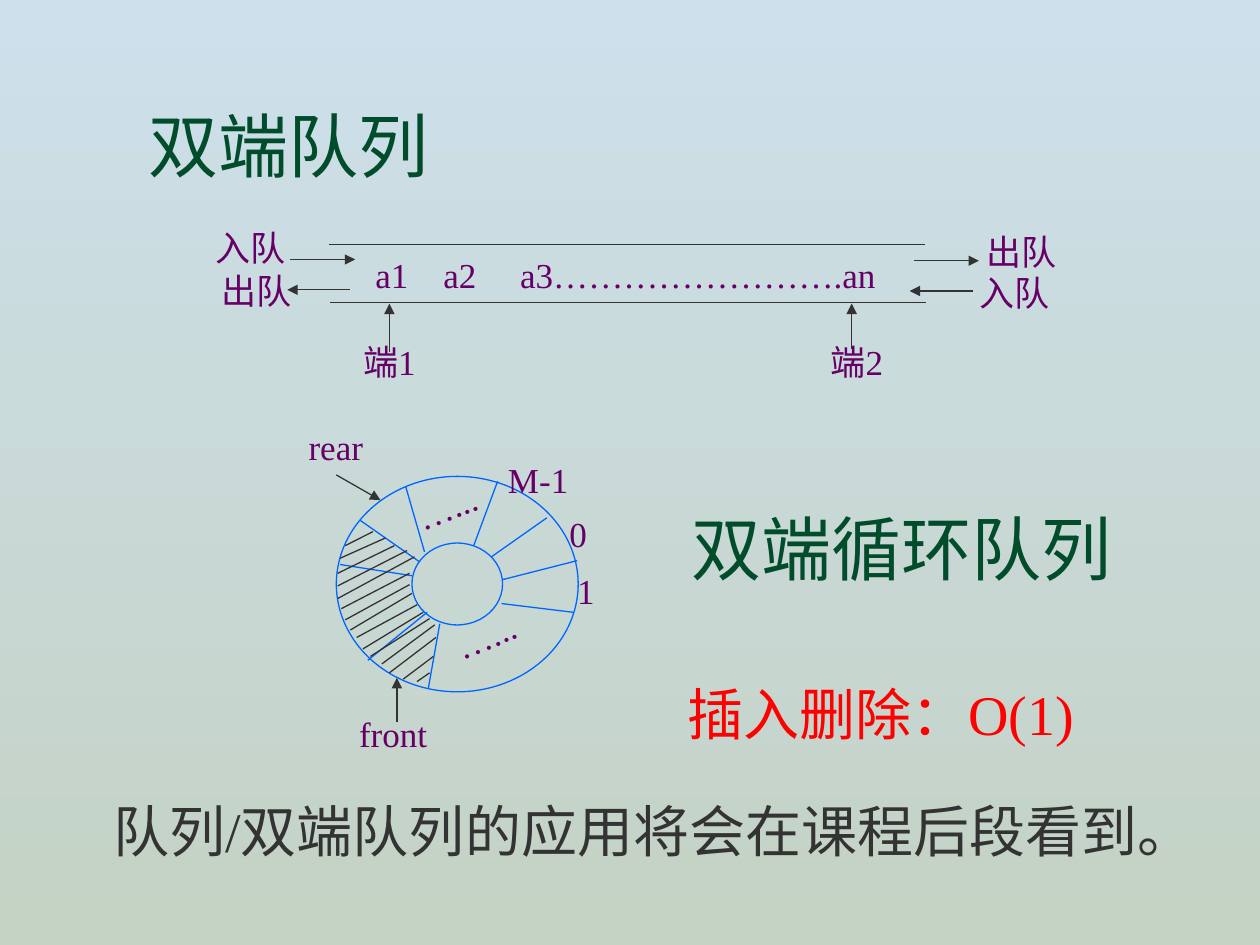
"""Builds a slide on double-ended queues, linear and circular."""
from lxml.etree import SubElement
from pptx import Presentation
from pptx.dml.color import RGBColor
from pptx.enum.shapes import MSO_CONNECTOR, MSO_SHAPE
from pptx.enum.text import MSO_ANCHOR, MSO_AUTO_SIZE, PP_ALIGN
from pptx.oxml.ns import qn
from pptx.util import Pt

SKY, SAGE = RGBColor(0xCD, 0xE0, 0xEB), RGBColor(0xC4, 0xD2, 0xC4)
GREEN, PURPLE = RGBColor(0x00, 0x4C, 0x2B), RGBColor(0x66, 0x00, 0x66)
RED, DARK, BLUE = RGBColor(0xFF, 0, 0), RGBColor(0x33, 0x33, 0x33), RGBColor(0, 0x66, 0xFF)
SERIF, SANS = "Times New Roman", "Arial"
LABEL_HEIGHT = 31
HEADING_MARGIN = 15.8

TITLE = ("双端队列", 69.1, 54.7, 221, 53.3)
RING_HEADING = ("双端循环队列", 379.4, 285.1, 296.6, 53.3)
BODY = [
    ("插入删除：O(1)", 385.9, 384.5, 296.6, 46.1, RED),
    ("队列/双端队列的应用将会在课程后段看到。", 57.6, 451.4, 632.9, 72, DARK),
]
ELEMENTS = ("a1    a2     a3……………………. an ".replace(". an", ".an"), 207.4, 141.1, 305.3)
LABELS = [
    ("入队", 552.2, 151.9, 54.7), ("出队", 556.6, 128.2, 54.7),
    ("入队", 115.9, 126, 54.7), ("出队", 119.5, 150.5, 54.7),
    ("0", 318.2, 289.4, 24.5), ("M-1", 283, 258.5, 49), ("1", 322.6, 321.8, 24.5),
    ("front", 198, 403.9, 53.3), ("rear", 169.2, 239.8, 45.4),
]
END_LABELS = [("端1", 200.2, 190.8, 44.6), ("端2", 467.3, 190.8, 44.6)]
ELLIPSES = [("…...", 230.4, 274.3, 49.7), ("…...", 252.7, 347.8, 49.7)]
ELLIPSIS_TILT = 338.4

RINGS = [(192.2, 272.2, 138.2, 123.1), (235.4, 310.3, 51.8, 46.8)]
SPOKES = [
    (231.8, 277.9, 242.6, 315.4), (251.3, 356.4, 244.8, 393.1), (244.1, 349.9, 210.2, 377.3),
    (239.8, 321.1, 205.9, 297.4), (284.4, 275, 270.7, 311.8), (280.8, 318.2, 312.5, 295.9),
    (287.3, 331.2, 329.8, 320.4), (286.6, 344.9, 327.6, 349.9), (235.4, 329, 194.4, 322.6),
]
RAILS = [(187.9, 139.7, 528.5, 139.7), (188.6, 172.8, 529.2, 172.8)]
ARROWS = [
    (222.5, 200.9, 222.5, 173.5), (486.7, 199.4, 486.7, 173.5),
    (555.8, 166.3, 519.8, 166.3), (522, 149, 559.4, 149),
    (200.2, 165.6, 164.2, 165.6), (165.6, 148.3, 203, 148.3),
    (226.8, 412.6, 226.8, 387.4), (192.2, 271.4, 217.4, 285.8),
]
HATCHING = [
    (197.3, 311.8, 213.1, 303.8), (194.4, 319, 220.3, 307.4), (193, 327.6, 225.4, 311.8),
    (193, 334.8, 232.6, 314.6), (193, 342, 236.9, 318.2), (195.1, 347.8, 234, 327.6),
    (197.3, 354.2, 234, 334.1), (200.2, 360, 235.4, 339.1), (203.8, 364.3, 238.3, 345.6),
    (207.4, 370.8, 241.9, 349.9), (211.7, 375.1, 245.5, 353.5), (218.2, 379.4, 248.4, 357.1),
    (222.5, 384.5, 249.1, 364.3), (230.4, 388.1, 247.7, 375.1), (238.3, 389.5, 245.5, 384.5),
]

deck = Presentation()
deck.slide_width, deck.slide_height = Pt(720), Pt(540)
slide = deck.slides.add_slide(deck.slide_layouts[5])
shapes = slide.shapes

backdrop = slide.background.fill
backdrop.gradient()
backdrop.gradient_angle = 270
for stop, position, color in zip(backdrop.gradient_stops, (0, 1), (SKY, SAGE)):
    stop.position, stop.color.rgb = position, color


def write(shape, text, size, color, font=SERIF, align=PP_ALIGN.LEFT, anchor=MSO_ANCHOR.TOP, wrap=True):
    frame = shape.text_frame
    frame.text = text
    frame.word_wrap, frame.vertical_anchor = wrap, anchor
    frame.auto_size = MSO_AUTO_SIZE.NONE
    paragraph = frame.paragraphs[0]
    paragraph.alignment = align
    style = paragraph.runs[0].font
    style.name, style.size, style.color.rgb = font, Pt(size), color
    return shape


def add_text(text, left, top, width, height, *style, **options):
    box = shapes.add_textbox(Pt(left), Pt(top), Pt(width), Pt(height))
    return write(box, text, *style, **options)


def add_label(text, left, top, width, align=PP_ALIGN.CENTER, wrap=False):
    return add_text(text, left, top, width, LABEL_HEIGHT, 20, PURPLE,
                    align=align, anchor=MSO_ANCHOR.MIDDLE, wrap=wrap)


def add_line(ends, color=DARK, arrow=False):
    line = shapes.add_connector(MSO_CONNECTOR.STRAIGHT, *map(Pt, ends))
    line.line.color.rgb, line.line.width = color, Pt(0.75)
    if arrow:
        SubElement(line.line._get_or_add_ln(), qn("a:tailEnd"), type="triangle")
    SubElement(line._element.spPr, qn("a:effectLst"))


title = shapes.title
text, *place = TITLE
title.left, title.top, title.width, title.height = map(Pt, place)
write(title, text, 40, GREEN, SANS)
ring_heading = add_text(*RING_HEADING, 40, GREEN, SANS)
for heading in (title, ring_heading):
    heading.text_frame.margin_left = Pt(HEADING_MARGIN)

for rail in RAILS:
    add_line(rail)
add_label(*ELEMENTS, align=PP_ALIGN.LEFT)

for place in RINGS:
    ring = shapes.add_shape(MSO_SHAPE.OVAL, *map(Pt, place))
    ring.shadow.inherit = False
    ring.fill.background()
    ring.line.color.rgb, ring.line.width = BLUE, Pt(0.75)
for spoke in SPOKES:
    add_line(spoke, BLUE)
for hatch in HATCHING:
    add_line(hatch)
for arrow in ARROWS:
    add_line(arrow, arrow=True)

for label in LABELS:
    add_label(*label)
for label in END_LABELS:
    add_label(*label, wrap=True)
for dots in ELLIPSES:
    add_label(*dots).rotation = ELLIPSIS_TILT
for *entry, color in BODY:
    add_text(*entry, 32, color)

deck.save("out.pptx")
